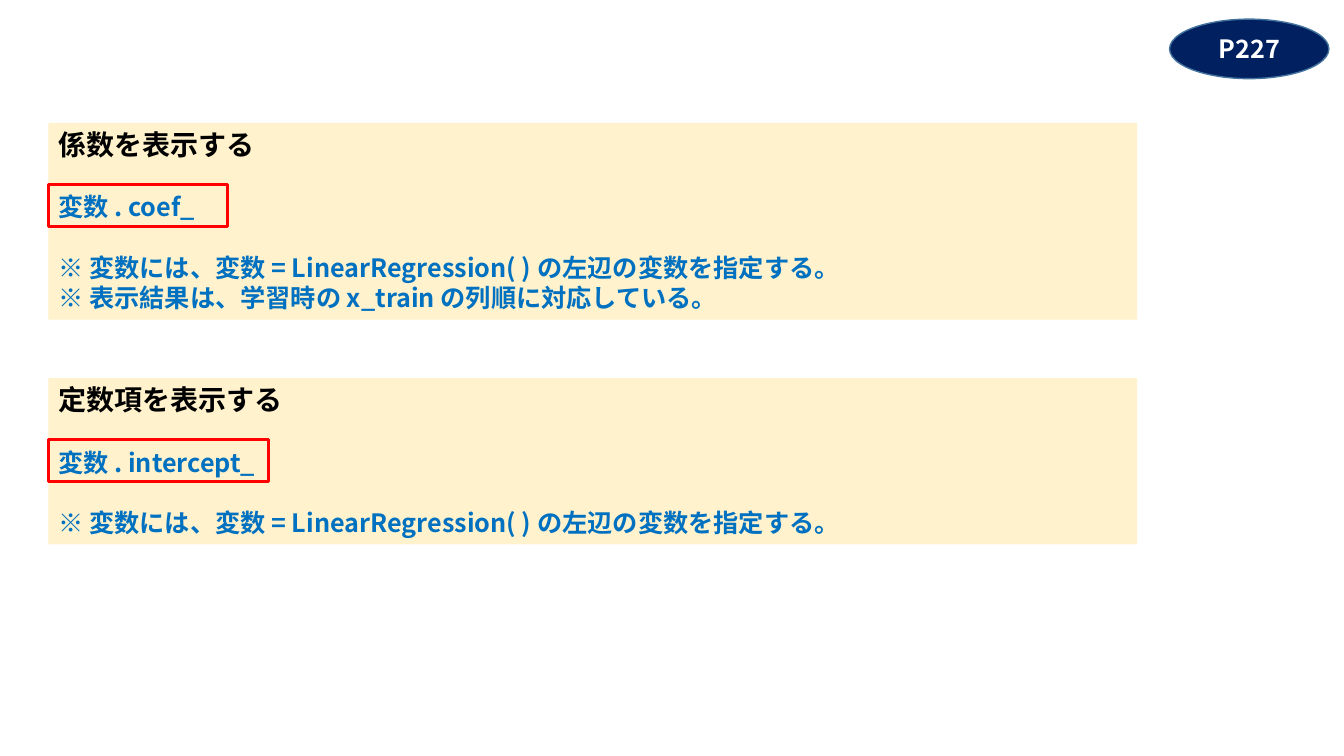
from lxml.etree import SubElement
from pptx import Presentation
from pptx.dml.color import RGBColor
from pptx.enum.shapes import MSO_SHAPE
from pptx.enum.text import MSO_ANCHOR, PP_ALIGN
from pptx.oxml.ns import qn
from pptx.util import Inches, Pt

FONT = "Noto Sans CJK JP"
COLORS = {"cream": "FFF2CC", "black": "000000", "blue": "0070C0", "navy": "002060",
          "edge": "43739E", "red": "FF0000", "white": "FFFFFF"}
LINE_FACTOR = 1.2
TARGET_NOTE = "※ 変数には、変数 = LinearRegression( ) の左辺の変数を指定する。"
ORDER_NOTE = "※ 表示結果は、学習時の x_train の列順に対応している。"


def color(name):
    """Return the named colour."""
    return RGBColor.from_string(COLORS[name])


def add_run(p, text, size, name):
    """Add a bold run to a paragraph."""
    r = p.add_run()
    r.text = text
    r.font.size = Pt(size)
    r.font.bold = True
    r.font.name = FONT
    r.font.color.rgb = color(name)
    SubElement(r.font._element, qn("a:ea")).set("typeface", FONT)


def add_frame(s, left, top, width, height):
    """Outline a region in red."""
    sp = s.shapes.add_shape(MSO_SHAPE.RECTANGLE, Inches(left), Inches(top),
                            Inches(width), Inches(height))
    sp.shadow.inherit = False
    sp.fill.background()
    sp.line.color.rgb = color("red")
    sp.line.width = Pt(2.25)


def add_panel(s, left, top, width, height, title, code, notes, frame_width):
    """Place a panel with its title, framed code and notes."""
    sp = s.shapes.add_textbox(Inches(left), Inches(top), Inches(width), Inches(height))
    sp.fill.solid()
    sp.fill.fore_color.rgb = color("cream")
    tf = sp.text_frame
    tf.word_wrap = True
    lines = [(title, 20, "black", 0), (code, 18, "blue", 1)]
    lines += [(note, 18, "blue", int(i == 0)) for i, note in enumerate(notes)]
    for i, (text, size, name, gap) in enumerate(lines):
        p = tf.add_paragraph() if i else tf.paragraphs[0]
        p.line_spacing = Pt(size * LINE_FACTOR)
        p.space_before = Pt(gap * size * LINE_FACTOR)
        add_run(p, text, size, name)
    add_frame(s, left, top + 0.61, frame_width, 0.42)


def add_page_badge(s, left, top, width, height, text):
    """Place the oval page reference."""
    sp = s.shapes.add_shape(MSO_SHAPE.OVAL, Inches(left), Inches(top),
                            Inches(width), Inches(height))
    sp.shadow.inherit = False
    sp.fill.solid()
    sp.fill.fore_color.rgb = color("navy")
    sp.line.color.rgb = color("edge")
    sp.line.width = Pt(1)
    tf = sp.text_frame
    tf.vertical_anchor = MSO_ANCHOR.MIDDLE
    p = tf.paragraphs[0]
    p.alignment = PP_ALIGN.CENTER
    add_run(p, text, 18, "white")


def main():
    """Build and save the slide."""
    prs = Presentation()
    prs.slide_width, prs.slide_height = Inches(13.33), Inches(7.5)
    s = prs.slides.add_slide(prs.slide_layouts[6])
    add_panel(s, 0.48, 1.22, 10.8, 1.95, "係数を表示する", "変数 . coef_",
              [TARGET_NOTE, ORDER_NOTE], 1.78)
    add_panel(s, 0.48, 3.75, 10.8, 1.65, "定数項を表示する", "変数 . intercept_",
              [TARGET_NOTE], 2.18)
    add_page_badge(s, 11.6, 0.19, 1.58, 0.59, "P227")
    prs.save("out.pptx")


if __name__ == "__main__":
    main()
